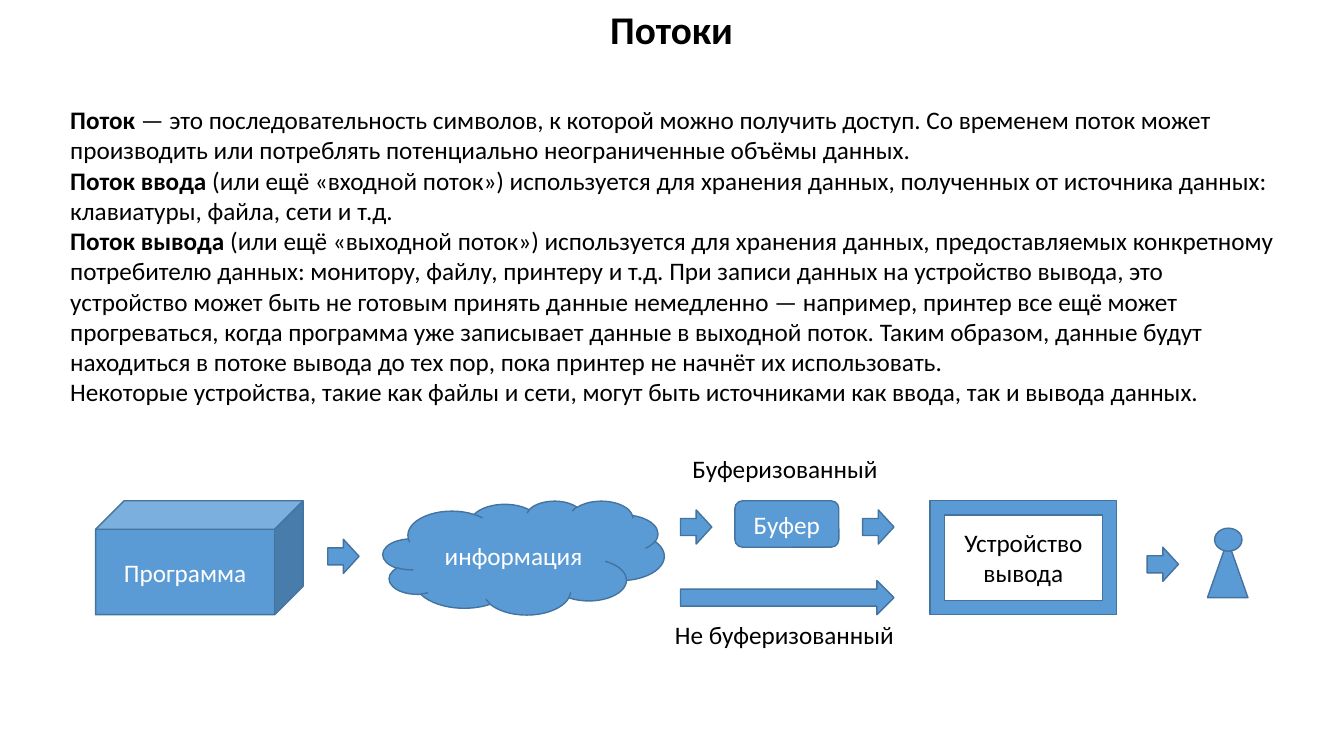
"""Build the slide on input and output streams."""
from dataclasses import dataclass

from pptx import Presentation
from pptx.dml.color import RGBColor
from pptx.enum import shapes, text
from pptx.util import Cm, Pt

KIND = shapes.MSO_SHAPE
ALIGN = text.PP_ALIGN


@dataclass(frozen=True)
class Theme:
    """Hold the colours, font and type sizes of the slide."""
    fill: str = "5B9BD5"
    edge: str = "43739E"
    dark: str = "000000"
    light: str = "FFFFFF"
    font: str = "Calibri"
    head: int = 28
    base: int = 18


THEME = Theme()
TOP, HIGH = 12.62, 2.87
SMALL, THIN = 0.79, 0.86

BODY = [
    [("Поток", True),
     ("\u00a0— это последовательность символов, к которой можно получить доступ. "
      "Со временем поток может производить или потреблять потенциально "
      "неограниченные объёмы данных.", False)],
    [("Поток ввода ", True),
     ("(или ещё «входной поток») используется для хранения данных, полученных "
      "от источника данных: клавиатуры, файла, сети и т.д.", False)],
    [("Поток вывода ", True),
     ("(или ещё «выходной поток») используется для хранения данных, "
      "предоставляемых конкретному потребителю данных: монитору, файлу, "
      "принтеру и т.д. При записи данных на устройство вывода, это устройство "
      "может быть не готовым принять данные немедленно — например, принтер все "
      "ещё может прогреваться, когда программа уже записывает данные в выходной "
      "поток. Таким образом, данные будут находиться в потоке вывода до тех "
      "пор, пока принтер не начнёт их использовать.", False)],
    [("Некоторые устройства, такие как файлы и сети, могут быть источниками "
      "как ввода, так и вывода данных. ", False)],
]

PARTS = [
    (KIND.ROUNDED_RECTANGLE, (18.52, TOP, 2.62, 1.17), "Буфер", THEME.light),
    (KIND.FRAME, (23.44, TOP, 4.7, HIGH), "Устройство вывода", THEME.dark),
    (KIND.ISOSCELES_TRIANGLE, (30.43, 13.61, 1.02, 1.45), "", THEME.light),
    (KIND.FLOWCHART_CONNECTOR, (30.61, 13.31, 0.69, 0.58), "", THEME.light),
    (KIND.CUBE, (2.41, TOP, 5.23, HIGH), "Программа", THEME.light),
    (KIND.CLOUD, (9.65, TOP, 7.09, HIGH), "информация", THEME.light),
]

ARROWS = [(28.91, 13.79, SMALL), (8.26, 13.59, SMALL), (17.15, 14.63, 5.38),
          (17.15, 12.85, SMALL), (21.74, 12.85, SMALL)]

LABELS = [("Не буферизованный", (16.76, 15.49, 6.1, 1.02)),
          ("Буферизованный", (17.2, 11.3, 5.23, 1.02))]


def write(frame, paras, size=THEME.base, tint=THEME.dark, align=ALIGN.LEFT):
    """Fill a text frame with paragraphs of (words, bold) runs."""
    for i, runs in enumerate(paras):
        para = frame.paragraphs[0] if i == 0 else frame.add_paragraph()
        para.alignment = align
        for words, bold in runs:
            run = para.add_run()
            run.text = words
            run.font.name = THEME.font
            run.font.size = Pt(size)
            run.font.bold = bold
            run.font.color.rgb = RGBColor.from_string(tint)


def add_title(slide, words, box):
    """Place and format the title."""
    title = slide.shapes.title
    title.left, title.top, title.width, title.height = map(Cm, box)
    frame = title.text_frame
    frame.word_wrap = False
    frame.auto_size = text.MSO_AUTO_SIZE.NONE
    frame.vertical_anchor = text.MSO_ANCHOR.TOP
    write(frame, [[(words, True)]], THEME.head, align=ALIGN.CENTER)


def add_text(slide, paras, box, wrap=False):
    """Add a plain text box."""
    frame = slide.shapes.add_textbox(*map(Cm, box)).text_frame
    frame.word_wrap = wrap
    write(frame, paras)


def add_part(slide, kind, box, words="", tint=THEME.light):
    """Add a filled shape with centred words."""
    part = slide.shapes.add_shape(kind, *map(Cm, box))
    part.shadow.inherit = False
    part.fill.solid()
    part.fill.fore_color.rgb = RGBColor.from_string(THEME.fill)
    part.line.color.rgb = RGBColor.from_string(THEME.edge)
    part.line.width = Pt(1)
    if words:
        part.text_frame.vertical_anchor = text.MSO_ANCHOR.MIDDLE
        write(part.text_frame, [[(words, False)]], tint=tint, align=ALIGN.CENTER)


def main():
    """Build and save the slide."""
    deck = Presentation()
    deck.slide_width, deck.slide_height = Cm(33.87), Cm(19.05)
    slide = deck.slides.add_slide(deck.slide_layouts.get_by_name("Title Only"))
    add_title(slide, "Потоки", (15.11, 0, 3.63, 1.45))
    add_text(slide, BODY, (1.52, 2.51, 30.84, 7.95), wrap=True)
    for kind, box, words, tint in PARTS:
        add_part(slide, kind, box, words, tint)
    for left, top, width in ARROWS:
        add_part(slide, KIND.RIGHT_ARROW, (left, top, width, THIN))
    for words, box in LABELS:
        add_text(slide, [[(words, False)]], box)
    deck.save("out.pptx")


main()
